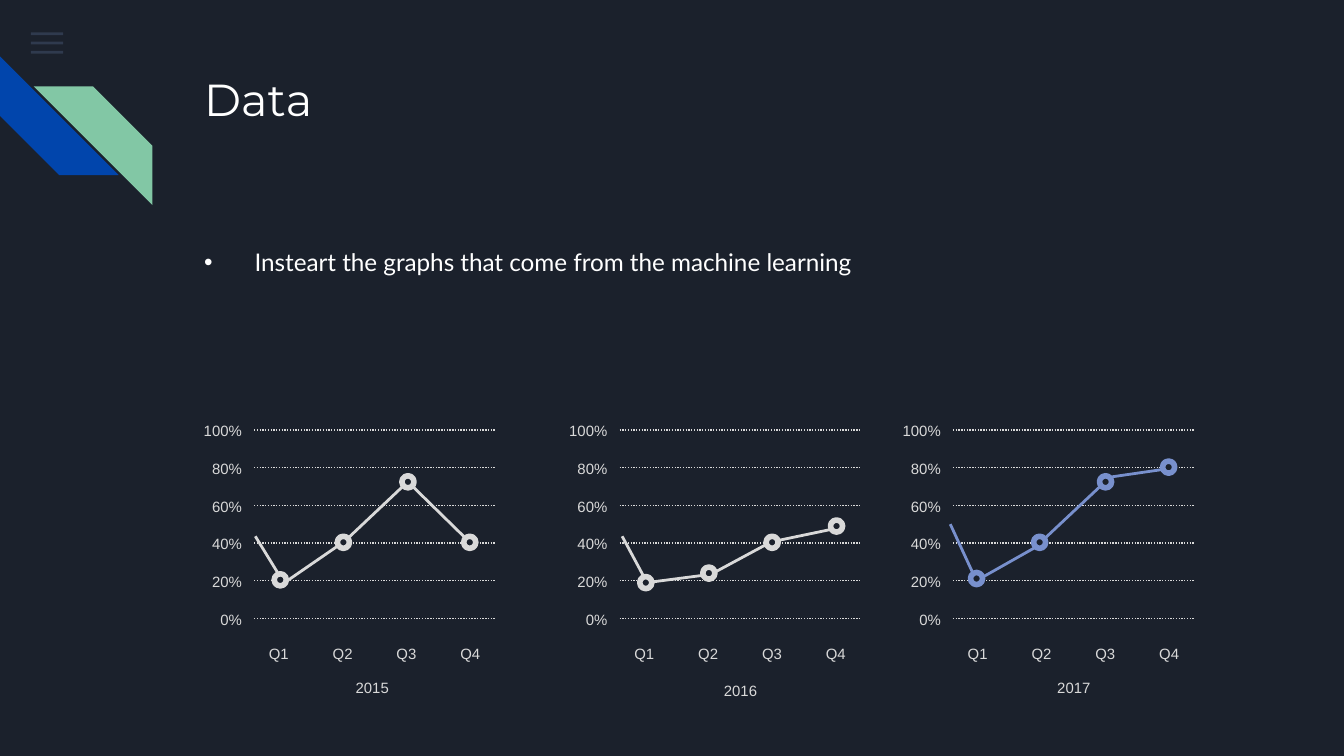
from dataclasses import dataclass

from lxml import etree
from pptx import Presentation
from pptx.dml.color import RGBColor
from pptx.enum.dml import MSO_LINE
from pptx.enum.shapes import MSO_CONNECTOR, MSO_SHAPE
from pptx.enum.text import MSO_ANCHOR, MSO_AUTO_SIZE, PP_ALIGN
from pptx.oxml.ns import qn
from pptx.util import Pt

STRAIGHT = MSO_CONNECTOR.STRAIGHT
RECTANGLE = MSO_SHAPE.RECTANGLE
STRIPE = MSO_SHAPE.DIAGONAL_STRIPE
OVAL = MSO_SHAPE.OVAL
DOTTED = MSO_LINE.ROUND_DOT
TOP = MSO_ANCHOR.TOP
NO_AUTOSIZE = MSO_AUTO_SIZE.NONE
LEFT, CENTER, RIGHT = PP_ALIGN.LEFT, PP_ALIGN.CENTER, PP_ALIGN.RIGHT

NAVY = RGBColor(0x1B, 0x21, 0x2C)
SLATE = RGBColor(0x55, 0x68, 0x8B)
BLUE = RGBColor(0x01, 0x45, 0xAC)
GREEN = RGBColor(0x82, 0xC7, 0xA5)
WHITE = RGBColor(0xFF, 0xFF, 0xFF)
GRAY = RGBColor(0xD9, 0xD9, 0xD9)
PERIWINKLE = RGBColor(0x78, 0x90, 0xCD)

PLOT_TOP = 230.4
PLOT_WIDTH = 129.4
GRID_GAP = 20.16
QUARTER_GAP = 34.2
LABEL_HEIGHT = 15.1
MARKER_SIZE = 6.5


@dataclass
class Graph:
    year: str
    left: float
    year_left: float
    year_top: float
    color: RGBColor
    segments: list
    markers: list


GRAPHS = [
    Graph("2015", 136.1, 173.5, 355, GRAY,
          [(0.7, 56.9, 16.6, 82.8), (18, 80.6, 50.4, 58.3),
           (45.4, 62.6, 85, 25.2), (85, 30.2, 118.1, 62.6)],
          [(10.8, 77), (44.6, 56.9), (79.2, 24.5), (112.3, 56.9)]),
    Graph("2016", 331.9, 370.8, 356.4, GRAY,
          [(1.4, 56.9, 13, 78.5), (17.3, 81.4, 51.1, 77),
           (45.4, 79.2, 84.2, 58.3), (78.5, 60.5, 120.2, 51.8)],
          [(10.8, 78.5), (44.6, 73.4), (78.5, 56.9), (113, 48.2)]),
    Graph("2017", 510.5, 549.4, 355, PERIWINKLE,
          [(-1.4, 50.4, 12.2, 79.9), (10.1, 82.1, 44.6, 62.6),
           (49, 58.3, 84.2, 25.2), (84.2, 25.2, 118.8, 20.2)],
          [(9.4, 76.3), (43.2, 56.9), (78.5, 24.5), (112.3, 16.6)]),
]


def write_text(box, text, font_name, size, color, align):
    frame = box.text_frame
    frame.word_wrap = True
    frame.auto_size = NO_AUTOSIZE
    frame.vertical_anchor = TOP
    frame.margin_left = frame.margin_right = Pt(7.2)
    frame.margin_top = frame.margin_bottom = Pt(7.2)
    frame.text = text
    para = frame.paragraphs[0]
    para.alignment = align
    para.font.name = font_name
    para.font.size = Pt(size)
    para.font.color.rgb = color
    return para


def fill_placeholder(box, place, text, font_name, size):
    box.left, box.top, box.width, box.height = map(Pt, place)
    return write_text(box, text, font_name, size, WHITE, LEFT)


def remove_bullet(para):
    properties = para._p.get_or_add_pPr()
    properties.set("marL", "0")
    properties.set("indent", "0")
    bullet = etree.Element(qn("a:buNone"))
    properties.insert_element_before(bullet, "a:tabLst", "a:defRPr", "a:extLst")


def add_label(shapes, text, left, top, width, height, align):
    box = shapes.add_textbox(Pt(left), Pt(top), Pt(width), Pt(height))
    return write_text(box, text, "Arial", 8, GRAY, align)


def add_line(shapes, ends, color, width):
    line = shapes.add_connector(STRAIGHT, *map(Pt, ends))
    line.line.color.rgb = color
    line.line.width = Pt(width)
    etree.SubElement(line._element.spPr, qn("a:effectLst"))
    return line


def add_solid(shapes, kind, left, top, width, height, color):
    shape = shapes.add_shape(kind, Pt(left), Pt(top), Pt(width), Pt(height))
    shape.shadow.inherit = False
    shape.fill.solid()
    shape.fill.fore_color.rgb = color
    shape.line.fill.background()
    return shape


def add_menu_bars(shapes):
    for index in range(3):
        bar = add_solid(shapes, RECTANGLE, 16.6, 17.3 + 5 * index, 17.3, 1.5, SLATE)
        color = bar._element.spPr.find(".//" + qn("a:srgbClr"))
        etree.SubElement(color, qn("a:alpha"), val="36000")


def add_stripes(shapes):
    group = shapes.add_group_shape().shapes
    blue = add_solid(group, STRIPE, 0, 30.2, 63.6, 63.6, BLUE)
    blue.rotation = 270
    green = add_solid(group, STRIPE, 18.1, 46.3, 63.6, 63.6, GREEN)
    green._element.spPr.xfrm.set("flipH", "1")


def add_graph(shapes, graph):
    group = shapes.add_group_shape().shapes
    for index in range(6):
        offset = index * GRID_GAP
        line_top = PLOT_TOP + offset
        ends = (graph.left, line_top, graph.left + PLOT_WIDTH, line_top)
        add_line(group, ends, GRAY, 0.75).line.dash_style = DOTTED
        add_label(group, f"{100 - 20 * index}%", graph.left - 35.3,
                  218.9 + offset, 36, LABEL_HEIGHT, RIGHT)
    for index in range(4):
        add_label(group, f"Q{index + 1}", graph.left + index * QUARTER_GAP,
                  338.2, 26.6, LABEL_HEIGHT, CENTER)
    year = add_label(group, graph.year, graph.year_left, graph.year_top,
                     51.8, 25.2, CENTER)
    year.line_spacing = 1.15
    for x1, y1, x2, y2 in graph.segments:
        ends = (graph.left + x1, PLOT_TOP + y1, graph.left + x2, PLOT_TOP + y2)
        add_line(group, ends, graph.color, 1.5)
    for x, y in graph.markers:
        marker = add_solid(group, OVAL, graph.left + x, PLOT_TOP + y,
                           MARKER_SIZE, MARKER_SIZE, NAVY)
        marker.line.color.rgb = graph.color
        marker.line.width = Pt(3)


def main():
    deck = Presentation()
    deck.slide_width, deck.slide_height = Pt(720), Pt(405)
    page = deck.slides.add_slide(deck.slide_layouts[1])
    page.background.fill.solid()
    page.background.fill.fore_color.rgb = NAVY
    add_menu_bars(page.shapes)
    add_stripes(page.shapes)
    title, body = page.placeholders
    fill_placeholder(title, (102.2, 31, 554.4, 72), "Data", "Montserrat", 24)
    remove_bullet(body.text_frame.paragraphs[0])
    para = fill_placeholder(body, (102.2, 123.1, 554.4, 87.1),
                            "Insteart the graphs that come from the machine learning",
                            "Lato", 13)
    para.line_spacing = 1.15
    para.space_before = Pt(0)
    para.space_after = Pt(16)
    for graph in GRAPHS:
        add_graph(page.shapes, graph)
    deck.save("out.pptx")


if __name__ == "__main__":
    main()
